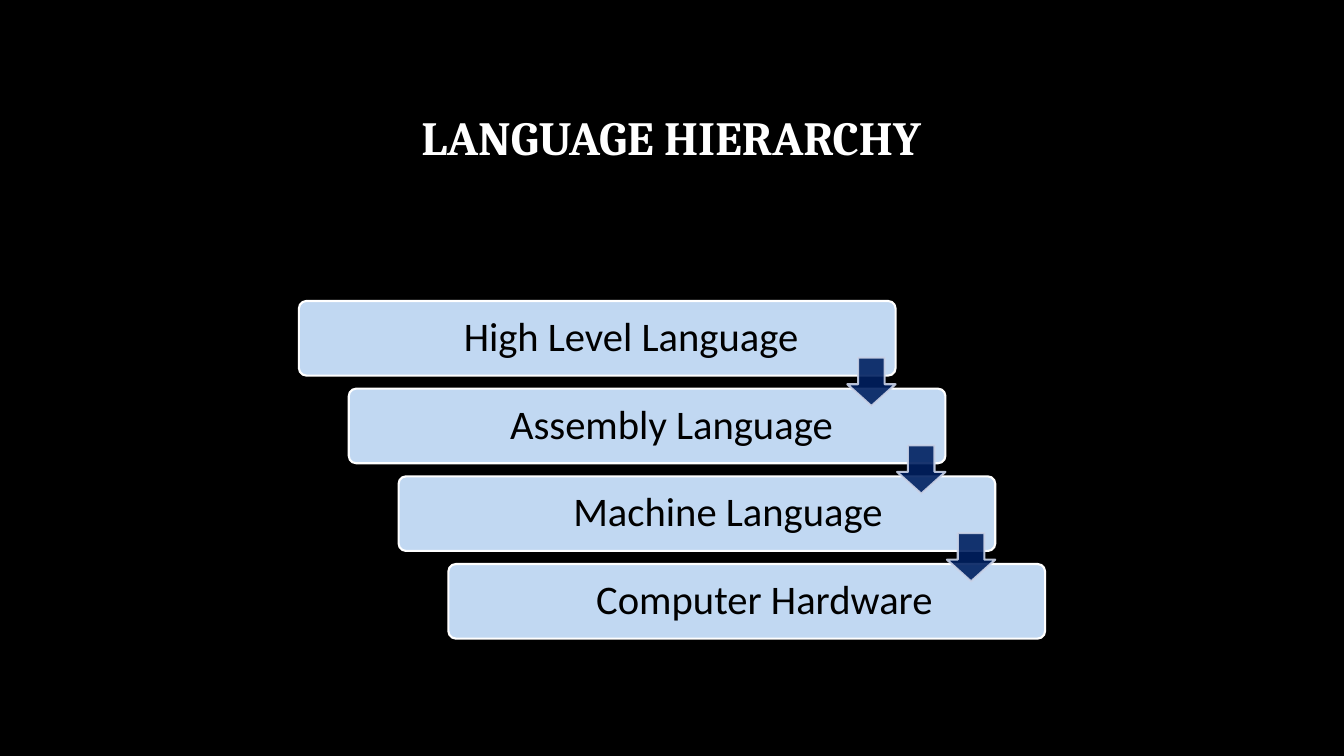
from dataclasses import dataclass

from lxml import etree
from pptx import Presentation
from pptx.dml.color import RGBColor
from pptx.enum.shapes import MSO_SHAPE
from pptx.enum.text import MSO_ANCHOR, PP_ALIGN
from pptx.oxml.ns import qn
from pptx.util import Pt

ROUND_RECT = MSO_SHAPE.ROUNDED_RECTANGLE
DOWN_ARROW = MSO_SHAPE.DOWN_ARROW
MIDDLE = MSO_ANCHOR.MIDDLE
CENTER, RIGHT = PP_ALIGN.CENTER, PP_ALIGN.RIGHT


@dataclass(frozen=True)
class Theme:
    background: str = "000000"
    title: str = "FFFFFF"
    step_fill: str = "C1D8F2"
    step_line: str = "FFFFFF"
    step_text: str = "000000"
    arrow_fill: str = "002060"
    arrow_line: str = "CCD5EA"
    arrow_opacity: int = 90
    title_font: str = "Cambria"
    body_font: str = "Calibri"
    title_size: int = 34
    step_size: int = 29
    line_width: float = 1.5


THEME = Theme()

# Each step with the right inset of its text
STEPS = [
    ("High Level Language", 67.5),
    ("Assembly Language", 78.5),
    ("Machine Language", 78.5),
    ("Computer Hardware", 78.5),
]


def set_text(tf, text, align, font, size, color, bold=False):
    tf.word_wrap = True
    tf.vertical_anchor = MIDDLE
    p = tf.paragraphs[0]
    p.text = text
    p.alignment = align
    p.line_spacing = 0.9
    p.font.name = font
    p.font.size = Pt(size)
    p.font.bold = bold
    p.font.color.rgb = RGBColor.from_string(color)


def add_box(s, kind, box, adjustments, fill, line, opacity=100):
    sp = s.shapes.add_shape(kind, *map(Pt, box))
    sp.shadow.inherit = False
    for i, value in enumerate(adjustments):
        sp.adjustments[i] = value
    sp.fill.solid()
    sp.fill.fore_color.rgb = RGBColor.from_string(fill)
    sp.line.color.rgb = RGBColor.from_string(line)
    sp.line.width = Pt(THEME.line_width)
    if opacity < 100:
        for color in sp._element.spPr.iter(qn("a:srgbClr")):
            etree.SubElement(color, qn("a:alpha"), val=str(opacity * 1000))
    return sp


def add_title(s, left, top, width, height):
    tb = s.shapes.add_textbox(*map(Pt, (left, top, width, height)))
    set_text(tb.text_frame, "LANGUAGE HIERARCHY", CENTER, THEME.title_font,
             THEME.title_size, THEME.title, bold=True)


def add_staircase(s, left, top, width, height):
    step_w, step_h, arrow = 426.2, 53.3, 34.5
    dx = (width - step_w) / (len(STEPS) - 1)
    dy = (height - step_h) / (len(STEPS) - 1)

    # Steps, each shifted right and down
    for i, (text, inset) in enumerate(STEPS):
        box = (left + i * dx, top + i * dy, step_w, step_h)
        sp = add_box(s, ROUND_RECT, box, [0.1], THEME.step_fill, THEME.step_line)
        tf = sp.text_frame
        tf.margin_right = Pt(inset)
        set_text(tf, text, RIGHT, THEME.body_font, THEME.step_size, THEME.step_text)

    # Arrows, flush with the right edge of the step they leave
    for i in range(len(STEPS) - 1):
        box = (left + i * dx + step_w - arrow, top + i * dy + 40.5, arrow, arrow)
        add_box(s, DOWN_ARROW, box, [0.45, 0.55][::-1], THEME.arrow_fill,
                THEME.arrow_line, THEME.arrow_opacity)


def main():
    prs = Presentation()
    prs.slide_width, prs.slide_height = Pt(960), Pt(540)
    s = prs.slides.add_slide(prs.slide_layouts[6])
    s.background.fill.solid()
    s.background.fill.fore_color.rgb = RGBColor.from_string(THEME.background)
    add_title(s, 72, 48, 815, 104.5)
    add_staircase(s, 213.5, 215, 533, 241.2)
    prs.save("out.pptx")


if __name__ == "__main__":
    main()
